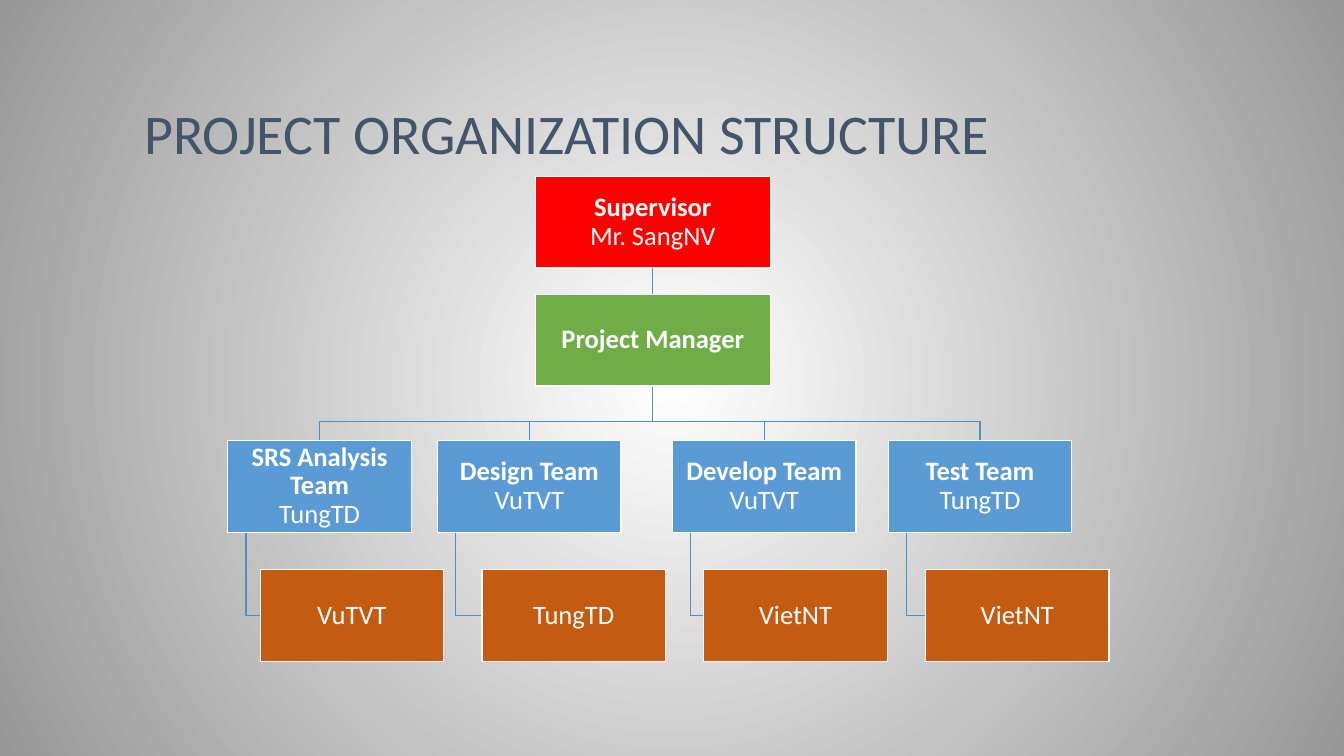
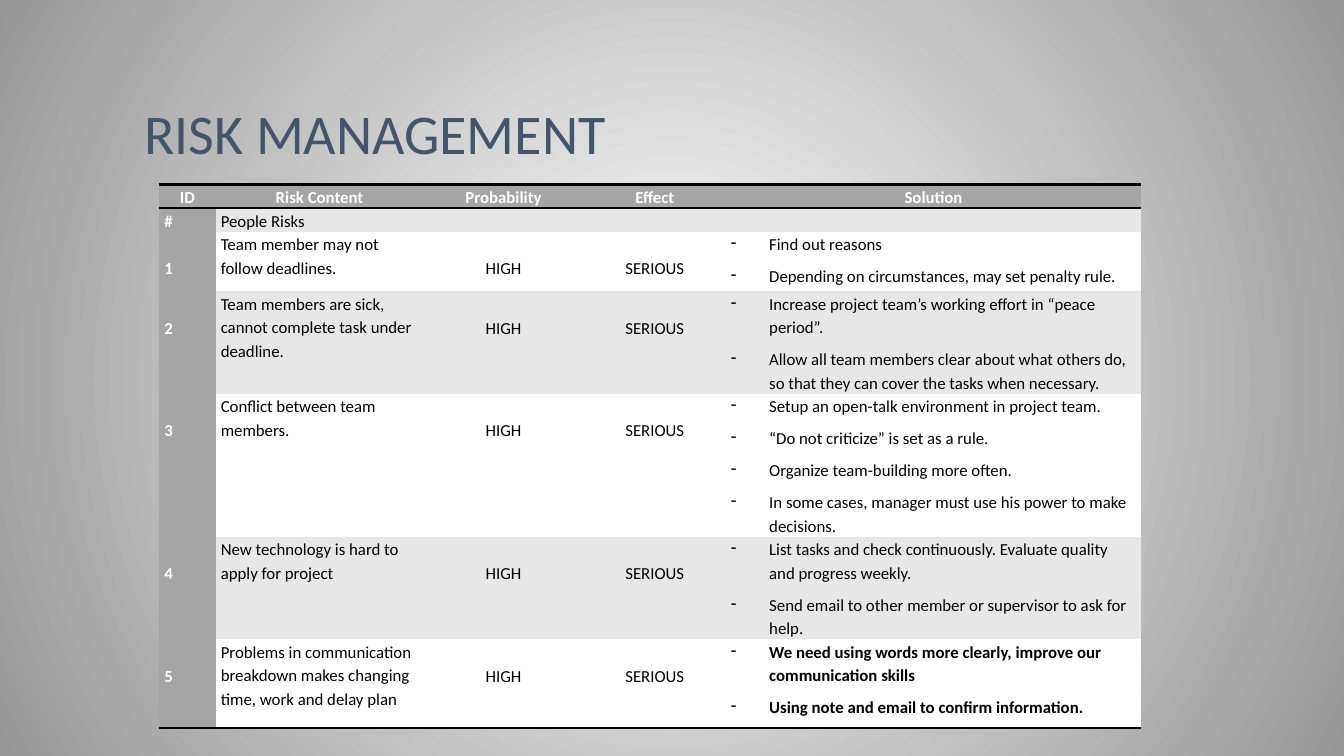
from pptx import Presentation
from pptx.dml.color import RGBColor as RGB
from pptx.enum.shapes import MSO_CONNECTOR as LINK, MSO_SHAPE as SHAPE
from pptx.enum.text import MSO_ANCHOR as ANCHOR, MSO_AUTO_SIZE as AUTO, PP_ALIGN as ALIGN
from pptx.oxml.ns import qn
from pptx.util import Inches, Pt
from lxml.etree import SubElement as Sub

# Shared look
FONT = "Calibri"
COLORS = {
    "title": "44546A", "white": "FFFFFF", "black": "000000", "edge": "979797",
    "boss": "FF0000", "lead": "70AD47", "team": "5B9BD5", "staff": "C55A11",
    "link": "538DC1", "head": "A5A5A5", "band": "E7E7E7",
}

# Organization chart
TOP_X, TOP_W = 5.31, 2.33
BOX_W, BOX_H = 1.82, 0.91
BOSS_Y, LEAD_Y, TEAM_Y, STAFF_Y = 1.75, 2.92, 4.37, 5.65
STAFF_X, STAFF_STEP = 2.58, 2.2
FORK_Y = 4.18
TEAMS = [
    (2.26, "SRS Analysis Team", "TungTD", "VuTVT"),
    (4.34, "Design Team", "VuTVT", "TungTD"),
    (6.67, "Develop Team", "VuTVT", "VietNT"),
    (8.81, "Test Team", "TungTD", "VietNT"),
]

# Risk table
COLS = [0.56, 2.06, 1.59, 1.41, 4.12]
ROWS = [0.2, 0.2, 0.59, 0.94, 1.24, 0.86, 0.88]
LINE_H = 0.24
HEADS = ["ID", "Risk Content", "Probability", "Effect", "Solution"]
RISKS = [
    ("Team member may not follow deadlines.",
     ["Find out reasons",
      "Depending on circumstances, may set penalty rule."]),
    ("Team members are sick, cannot complete task under deadline.",
     ["Increase project team’s working effort in “peace period”.",
      "Allow all team members clear about what others do, "
      "so that they can cover the tasks when necessary."]),
    ("Conflict between team members.",
     ["Setup an open-talk environment in project team.",
      "“Do not criticize” is set as a rule.",
      "Organize team-building more often.",
      "In some cases, manager must use his power to make decisions."]),
    ("New technology is hard to apply for project",
     ["List tasks and check continuously. Evaluate quality and progress weekly.",
      "Send email to other member or supervisor to ask for help."]),
    ("Problems in communication breakdown makes changing time, work and delay plan",
     ["We need using words more clearly, improve our communication skills",
      "Using note and email to confirm information."]),
]


def color(name):
    return RGB.from_string(COLORS[name])


def style(run, size, tint, bold=False):
    font = run.font
    font.name, font.size, font.bold = FONT, Pt(size), bold
    font.color.rgb = color(tint)


def backdrop(master):
    """Radial gradient for every slide."""
    fill = master.background.fill
    fill.gradient()
    for stop, name in zip(fill.gradient_stops, ("white", "edge")):
        stop.color.rgb = color(name)
    grad = master.element.cSld.find(".//" + qn("a:gradFill"))
    grad.remove(grad.find(qn("a:lin")))
    ring = Sub(grad, qn("a:path"), {"path": "circle"})
    Sub(ring, qn("a:fillToRect"), {side: "50000" for side in "ltrb"})


def new_slide(prs, text):
    slide = prs.slides.add_slide(prs.slide_layouts[5])
    title = slide.shapes.title
    title.left, title.top = Inches(1.33), Inches(0.25)
    title.width, title.height = Inches(10.67), Inches(1.45)
    frame = title.text_frame
    frame.text = text
    frame.vertical_anchor = ANCHOR.BOTTOM
    frame.auto_size = AUTO.NONE
    para = frame.paragraphs[0]
    para.alignment, para.line_spacing = ALIGN.LEFT, 0.9
    style(para.runs[0], 40, "title")
    return slide


def box(slide, x, y, width, fill, role="", name=""):
    """Filled box: bold role, then a plain name."""
    shape = slide.shapes.add_shape(
        SHAPE.RECTANGLE, Inches(x), Inches(y), Inches(width), Inches(BOX_H))
    shape.shadow.inherit = False
    shape.fill.solid()
    shape.fill.fore_color.rgb = color(fill)
    shape.line.color.rgb = color("white")
    shape.line.width = Pt(0.85)
    frame = shape.text_frame
    frame.word_wrap = True
    frame.vertical_anchor = ANCHOR.MIDDLE
    frame.margin_left = frame.margin_right = Inches(0.01)
    frame.margin_top = frame.margin_bottom = Inches(0.01)
    para = frame.paragraphs[0]
    para.text = "\n".join(part for part in (role, name) if part)
    para.alignment, para.line_spacing = ALIGN.CENTER, 0.9
    for run in para.runs:
        style(run, 19, "white", run.text == role)
    return shape


def ink(line):
    line.color.rgb = color("link")
    line.width = Pt(0.85)


def bent(slide, *points):
    """Open line with square corners."""
    first, *rest = [(Inches(x), Inches(y)) for x, y in points]
    pen = slide.shapes.build_freeform(*first)
    pen.add_line_segments(rest, close=False)
    shape = pen.convert_to_shape()
    shape.shadow.inherit = False
    shape.fill.background()
    ink(shape.line)


def org_chart(slide):
    mid = TOP_X + TOP_W / 2
    # Lines lie behind the boxes
    for i, (x, *_) in enumerate(TEAMS):
        top = x + BOX_W / 2
        bent(slide, (mid, LEAD_Y + BOX_H), (mid, FORK_Y), (top, FORK_Y), (top, TEAM_Y))
        stem, row = x + 0.18, STAFF_Y + BOX_H / 2
        bent(slide, (stem, TEAM_Y + BOX_H), (stem, row), (STAFF_X + i * STAFF_STEP, row))

    # Top two boxes
    boss = box(slide, TOP_X, BOSS_Y, TOP_W, "boss", "Supervisor", "Mr. SangNV")
    lead = box(slide, TOP_X, LEAD_Y, TOP_W, "lead", "Project Manager")
    link = slide.shapes.add_connector(LINK.STRAIGHT, 0, 0, 0, 0)
    link.begin_connect(boss, 2)
    link.end_connect(lead, 0)
    ink(link.line)
    Sub(link._element.spPr, qn("a:effectLst"))

    # Teams and their staff
    for i, (x, team, head, staff) in enumerate(TEAMS):
        box(slide, x, TEAM_Y, BOX_W, "team", team, head)
        box(slide, STAFF_X + i * STAFF_STEP, STAFF_Y, BOX_W, "staff", name=staff)


def fill_cell(cell, lines, fill, tint="black", bold=False, align=ALIGN.LEFT,
              top=0, dash=False, anchor=ANCHOR.TOP):
    cell.fill.solid()
    cell.fill.fore_color.rgb = color(fill)
    cell.margin_left = cell.margin_right = Inches(0.05)
    cell.margin_top, cell.margin_bottom = Inches(top), 0
    cell.vertical_anchor = anchor
    cell.text_frame.text = "\n".join(lines)
    for para in cell.text_frame.paragraphs:
        para.alignment, para.line_spacing = align, 1.15
        para.space_after = Pt(6)
        for run in para.runs:
            style(run, 12, tint, bold)
        if dash:
            props = para._p.get_or_add_pPr()
            props.set("marL", str(Inches(0.38)))
            props.set("indent", str(-Inches(0.38)))
            Sub(props, qn("a:buChar"), {"char": "-"})


def rule(cell, *sides):
    """Black border on the sides named, T before B."""
    props = cell._tc.get_or_add_tcPr()
    for i, side in enumerate(sides):
        line = Sub(props, qn("a:ln" + side), {"w": str(Pt(2))})
        Sub(Sub(line, qn("a:solidFill")), qn("a:srgbClr"), {"val": COLORS["black"]})
        props.insert(i, line)


def risk_table(slide):
    table = slide.shapes.add_table(
        len(ROWS), len(COLS), Inches(1.58), Inches(1.83),
        Inches(sum(COLS)), Inches(sum(ROWS))).table
    table.first_row = table.horz_banding = False
    table._tbl.tblPr.find(qn("a:tableStyleId")).text = \
        "{2D5ABB26-0587-4C30-8999-92F81FD0307C}"
    for col, width in zip(table.columns, COLS):
        col.width = Inches(width)
    for row, height in zip(table.rows, ROWS):
        row.height = Inches(height)

    # Header and group row
    for col, text in enumerate(HEADS):
        fill_cell(table.cell(0, col), [text], "head", "white", True,
                  ALIGN.CENTER, anchor=ANCHOR.MIDDLE)
        rule(table.cell(0, col), "T", "B")
    fill_cell(table.cell(1, 0), ["#"], "head", "white", True, anchor=ANCHOR.MIDDLE)
    group = table.cell(1, 1)
    group.merge(table.cell(1, len(COLS) - 1))
    fill_cell(group, ["People Risks"], "band", anchor=ANCHOR.MIDDLE)

    # Risks
    for num, (risk, cures) in enumerate(RISKS, 1):
        cells = table.rows[num + 1].cells
        fill = "white" if num % 2 else "band"
        fill_cell(cells[0], [str(num)], "head", "white", True, top=LINE_H)
        fill_cell(cells[1], [risk], fill)
        for cell, text in zip((cells[2], cells[3]), ("HIGH", "SERIOUS")):
            fill_cell(cell, [text], fill, align=ALIGN.CENTER, top=LINE_H)
        fill_cell(cells[4], cures, fill, bold=num == len(RISKS), dash=True)
    for cell in table.rows[len(ROWS) - 1].cells:
        rule(cell, "B")


def main():
    prs = Presentation()
    prs.slide_width, prs.slide_height = Inches(13.33), Inches(7.5)
    backdrop(prs.slide_master)
    org_chart(new_slide(prs, "PROJECT ORGANIZATION STRUCTURE"))
    risk_table(new_slide(prs, "RISK MANAGEMENT"))
    prs.save("out.pptx")


if __name__ == "__main__":
    main()
